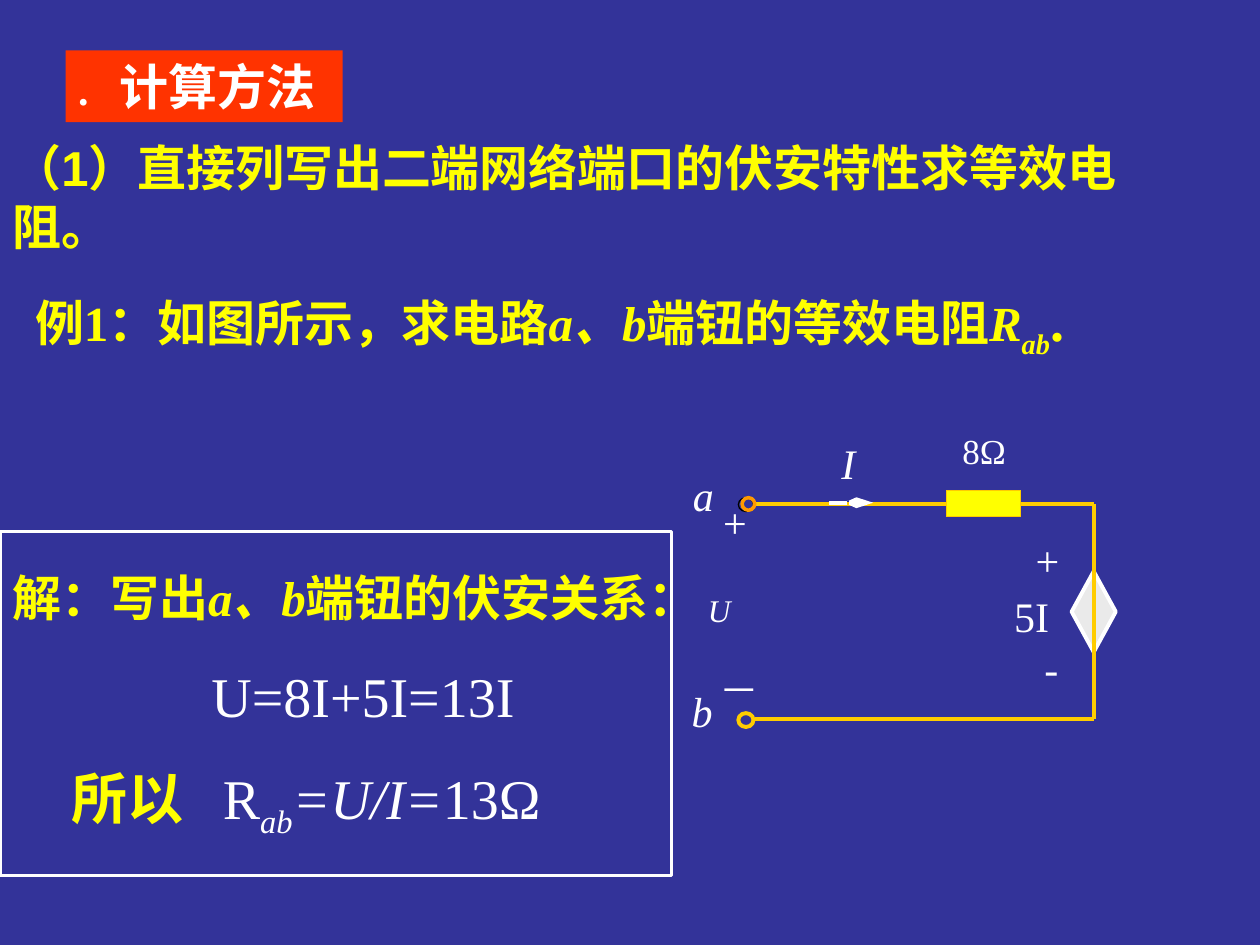
from lxml import etree
from pptx import Presentation, util as u
from pptx.dml.color import RGBColor
from pptx.enum import shapes, text
from pptx.oxml.ns import qn

NAVY = RGBColor(0x33, 0x33, 0x99)
RED = RGBColor(0xFF, 0x33, 0x00)
WHITE = RGBColor(0xFF, 0xFF, 0xFF)
YELLOW = RGBColor(0xFF, 0xFF, 0x00)
GOLD = RGBColor(0xFF, 0xCC, 0x00)
ORANGE = RGBColor(0xFF, 0x99, 0x00)
BLACK = RGBColor(0, 0, 0)
GREY = RGBColor(0xEA, 0xEA, 0xEA)

SERIF, SANS = "Times New Roman", "Arial"
SHAPE = shapes.MSO_SHAPE
FIT = text.MSO_AUTO_SIZE

# Circuit grid: terminals at the left, the source branch at the right
TOP, BOTTOM = 4, 5.71
LEFT, RIGHT = 5.99, 8.68


def inches(*lengths):
    return [u.Inches(length) for length in lengths]


def set_tabs(paragraph, *stops):
    """Add left tab stops, in inches."""
    tabs = etree.SubElement(paragraph._p.get_or_add_pPr(), qn("a:tabLst"))
    for stop in stops:
        etree.SubElement(tabs, qn("a:tab"), pos=str(u.Inches(stop)), algn="l")


def write(paragraph, runs, size, color, bold=False, font=SERIF, before=0):
    """Fill a paragraph with (text, overrides) runs."""
    paragraph.alignment = text.PP_ALIGN.LEFT
    paragraph.space_before = u.Pt(before)
    paragraph.font.name = font
    paragraph.font.size = u.Pt(size)
    paragraph.font.bold = bold
    paragraph.font.color.rgb = color
    for words, overrides in runs:
        run = paragraph.add_run()
        run.text = words
        if "size" in overrides:
            run.font.size = u.Pt(overrides["size"])
        if "color" in overrides:
            run.font.color.rgb = overrides["color"]
        if "bold" in overrides:
            run.font.bold = overrides["bold"]
        if "italic" in overrides:
            run.font.italic = overrides["italic"]
        if "baseline" in overrides:
            run.font._element.set("baseline", str(overrides["baseline"]))


def set_frame(shape, anchor=text.MSO_ANCHOR.TOP, fit=FIT.SHAPE_TO_FIT_TEXT):
    frame = shape.text_frame
    frame.word_wrap = True
    frame.auto_size = fit
    frame.vertical_anchor = anchor
    return frame


def add_text(slide, box, runs, size, color, **style):
    frame = set_frame(slide.shapes.add_textbox(*inches(*box)))
    write(frame.paragraphs[0], runs, size, color, **style)


def add_outline(slide, kind, box, line, width, fill=None):
    shape = slide.shapes.add_shape(kind, *inches(*box))
    shape.shadow.inherit = False
    if fill is None:
        shape.fill.background()
    else:
        shape.fill.solid()
        shape.fill.fore_color.rgb = fill
    shape.line.color.rgb = line
    shape.line.width = u.Pt(width)
    return shape


def add_wire(slide, start, end, color=GOLD, width=2.25, arrow=False):
    wire = slide.shapes.add_connector(
        shapes.MSO_CONNECTOR.STRAIGHT, *inches(*start, *end))
    wire.line.color.rgb = color
    wire.line.width = u.Pt(width)
    if arrow:
        etree.SubElement(wire.line._get_or_add_ln(), qn("a:tailEnd"),
                         type="arrow", w="sm", len="lg")
    etree.SubElement(wire._element.spPr, qn("a:effectLst"))


def add_heading(slide):
    title = slide.shapes.title
    title.left, title.top, title.width, title.height = inches(0.52, 0.4, 2.2, 0.57)
    title.fill.solid()
    title.fill.fore_color.rgb = RED
    # A fixed size keeps the title from growing to its layout height
    heading = set_frame(title, fit=FIT.NONE).paragraphs[0]
    set_tabs(heading, 0.33)
    write(heading, [(".\t", {"size": 24}), ("计算方法", {})], 28, WHITE, bold=True)


def add_problem(slide):
    add_text(slide, (0, 1.04, 9.23, 1.04),
             [("（1）直接列写出二端网络端口的伏安特性求等效电阻。", {})],
             28, YELLOW, bold=True, font=SANS)
    add_text(slide, (0.18, 2.22, 8.76, 1.16),
             [("例1：如图所示，求电路", {}), ("a、b", {"italic": True}),
              ("端钮的等效电阻", {}), ("R", {"italic": True}),
              ("ab", {"italic": True, "baseline": -25000}), (".", {"size": 32})],
             28, YELLOW, bold=True)


def add_solution(slide):
    box = add_outline(slide, SHAPE.RECTANGLE, (0, 4.22, 5.33, 2.73), WHITE, 2)
    frame = set_frame(box, text.MSO_ANCHOR.MIDDLE)
    relation = frame.paragraphs[0]
    write(relation, [("解：写出", {}), ("a、b", {"italic": True}),
                     ("端钮的伏安关系：", {})], 28, YELLOW, bold=True)
    equation = frame.add_paragraph()
    equation._p.get_or_add_pPr().set("marL", str(u.Inches(1.58)))
    write(equation, [("U=8I+5I=13I", {})], 32, WHITE, before=20)
    result = frame.add_paragraph()
    set_tabs(result, 0.47, 1.67)
    write(result, [("\t所以\t", {"color": YELLOW, "bold": True}), ("R", {}),
                   ("ab", {"italic": True, "baseline": -25000}),
                   ("=U/I=", {"italic": True}), ("13Ω", {})],
          32, WHITE, before=20)


def add_circuit(slide):
    # Controlled source, wires and resistor
    source = add_outline(slide, SHAPE.FLOWCHART_DECISION,
                         (8.36, 4.68, 0.64, 0.35), WHITE, 2.25, GREY)
    source.rotation = 90
    add_wire(slide, (LEFT, TOP), (RIGHT, TOP))
    add_outline(slide, SHAPE.RECTANGLE, (7.51, 3.89, 0.59, 0.21), GOLD, 0.75, YELLOW)
    add_wire(slide, (RIGHT, TOP), (RIGHT, BOTTOM))
    add_wire(slide, (LEFT, BOTTOM), (RIGHT, BOTTOM))

    # Terminals
    for box, color, width in (((5.86, 5.66, 0.12, 0.11), GOLD, 2.25),
                              ((5.86, 3.95, 0.12, 0.11), BLACK, 0.75),
                              ((5.89, 3.95, 0.1, 0.1), ORANGE, 2)):
        add_outline(slide, SHAPE.OVAL, box, color, width)

    # Current direction
    add_wire(slide, (6.58, 3.99), (6.93, 3.99), WHITE, 2.5, arrow=True)

    # Labels: wording, box, size, italic
    for words, box, size, italic in (
            ("a", (5.4, 3.68, 0.59, 0.5), 24, True),
            ("b", (5.39, 5.39, 0.7, 0.5), 24, True),
            ("+", (5.64, 3.89, 0.7, 0.5), 24, False),
            ("一", (5.64, 5.28, 0.7, 0.4), 18, False),
            ("U", (5.52, 4.64, 0.7, 0.4), 18, True),
            ("I", (6.58, 3.42, 0.59, 0.5), 24, True),
            ("+", (8.12, 4.19, 0.59, 0.5), 24, False),
            ("-", (8.19, 5.05, 0.47, 0.5), 24, False),
            ("5I", (7.95, 4.64, 0.82, 0.5), 24, False),
            ("8Ω", (7.54, 3.36, 0.59, 0.44), 20, False)):
        add_text(slide, box, [(words, {"italic": italic})], size, WHITE)


def main():
    deck = Presentation()
    deck.slide_width, deck.slide_height = inches(10, 7.5)
    slide = deck.slides.add_slide(deck.slide_layouts[5])
    slide.background.fill.solid()
    slide.background.fill.fore_color.rgb = NAVY
    add_heading(slide)
    add_problem(slide)
    add_solution(slide)
    add_circuit(slide)
    deck.save("out.pptx")


if __name__ == "__main__":
    main()
